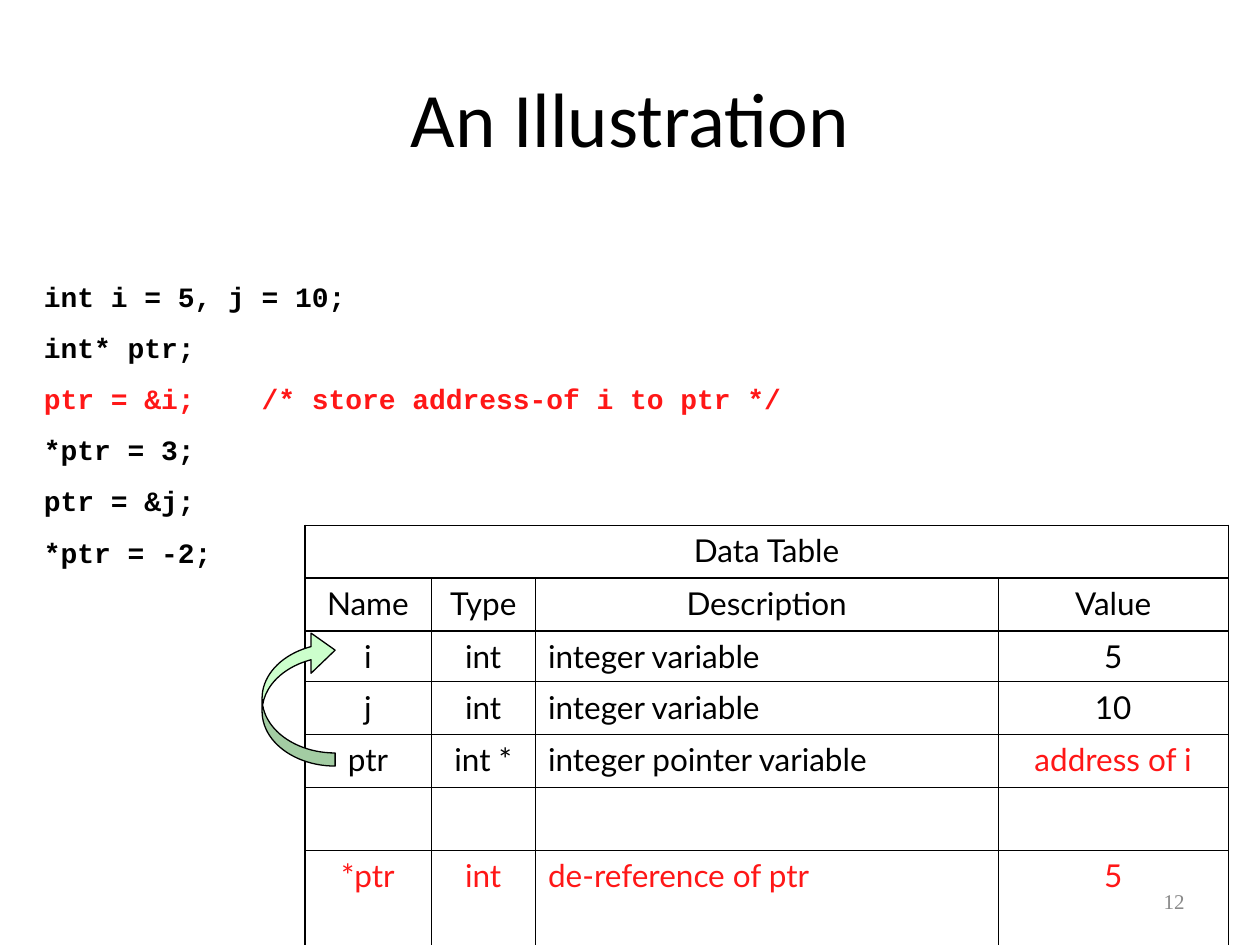
import pptx
import pptx.dml.color
import pptx.enum.shapes
import pptx.enum.text
import pptx.oxml.ns
import pptx.util
from lxml import etree

Inches = pptx.util.Inches
Pt = pptx.util.Pt
ALIGN = pptx.enum.text.PP_ALIGN
ANCHOR = pptx.enum.text.MSO_ANCHOR

BLACK, RED, GRAY, GREEN = "000000", "FF1717", "898989", "CCFFCC"
THICK, THIN = 1.08, 0.45

CODE_LINES = [
    ("int i = 5, j = 10;", BLACK),
    ("int* ptr;", BLACK),
    ("ptr = &i;    /* store address-of i to ptr */", RED),
    ("*ptr = 3;", BLACK),
    ("ptr = &j;", BLACK),
    ("*ptr = -2;", BLACK),
]
COLUMN_WIDTHS = [1, 0.83, 3.67, 1.83]
ROW_HEIGHTS = [0.42, 0.42, 0.4, 0.42, 0.42, 0.5, 0.76]
DESCRIPTION_COLUMN = 2
TABLE_ROWS = [
    ["Data Table", "", "", ""],
    ["Name", "Type", "Description", "Value"],
    ["i", "int", "integer variable", "5"],
    ["j", "int", "integer variable", "10"],
    ["ptr", "int *", "integer pointer variable", "address of i"],
    ["", "", "", ""],
    ["*ptr", "int", "de-reference of ptr", "5"],
]
RED_CELLS = {(4, 3), (6, 0), (6, 1), (6, 2), (6, 3)}


def color(hex_value):
    return pptx.dml.color.RGBColor.from_string(hex_value)


def set_attributes(target, values):
    for name, value in values.items():
        setattr(target, name, value)


def write_paragraph(paragraph, text, font_format, hex_value, paragraph_format):
    set_attributes(paragraph, paragraph_format)
    run = paragraph.add_run()
    run.text = text
    set_attributes(run.font, font_format)
    run.font.color.rgb = color(hex_value)


def add_text(slide, box, lines, font_format, paragraph_format, anchor):
    shape = slide.shapes.add_textbox(*(Inches(value) for value in box))
    frame = shape.text_frame
    set_attributes(frame, {"word_wrap": True, "vertical_anchor": anchor})
    for index, (text, hex_value) in enumerate(lines):
        paragraph = frame.add_paragraph() if index else frame.paragraphs[0]
        write_paragraph(paragraph, text, font_format, hex_value, paragraph_format)


def set_borders(cell, widths):
    properties = cell._tc.get_or_add_tcPr()
    for side in ("L", "R", "T", "B"):
        line = etree.SubElement(properties, pptx.oxml.ns.qn(f"a:ln{side}"),
                                w=str(int(Pt(widths[side]))))
        fill = etree.SubElement(line, pptx.oxml.ns.qn("a:solidFill"))
        etree.SubElement(fill, pptx.oxml.ns.qn("a:srgbClr"), val=BLACK)


def add_data_table(slide):
    row_count, column_count = len(ROW_HEIGHTS), len(COLUMN_WIDTHS)
    table = slide.shapes.add_table(
        row_count, column_count, Inches(2.42), Inches(4.17),
        Inches(sum(COLUMN_WIDTHS)), Inches(sum(ROW_HEIGHTS))).table
    set_attributes(table, {"first_row": False, "horz_banding": False})
    for column, width in zip(table.columns, COLUMN_WIDTHS):
        column.width = Inches(width)
    for row, height in zip(table.rows, ROW_HEIGHTS):
        row.height = Inches(height)
    table.cell(0, 0).merge(table.cell(0, column_count - 1))

    # The frame and the lines around the header rows are thick
    row_lines = [THICK if edge in (0, 1, 2, row_count) else THIN
                 for edge in range(row_count + 1)]
    column_lines = [THICK if edge in (0, column_count) else THIN
                    for edge in range(column_count + 1)]

    for row, texts in enumerate(TABLE_ROWS):
        for column, text in enumerate(texts):
            cell = table.cell(row, column)
            set_borders(cell, {"L": column_lines[column], "R": column_lines[column + 1],
                               "T": row_lines[row], "B": row_lines[row + 1]})
            cell.fill.background()
            if not text:
                continue
            is_description = column == DESCRIPTION_COLUMN and row > 1
            write_paragraph(
                cell.text_frame.paragraphs[0], text,
                {"size": Pt(18), "name": "Lato"},
                RED if (row, column) in RED_CELLS else BLACK,
                {"alignment": ALIGN.LEFT if is_description else ALIGN.CENTER,
                 "space_before": Pt(4.5)})


def add_pointer_arrow(slide):
    arrow = slide.shapes.add_shape(
        pptx.enum.shapes.MSO_SHAPE.CURVED_LEFT_ARROW,
        Inches(2.08), Inches(5), Inches(0.58), Inches(1.08))
    arrow.rotation = 180
    for index, value in enumerate((0.18, 0.55, 0.33)):
        arrow.adjustments[index] = value
    arrow.shadow.inherit = False
    arrow.fill.solid()
    arrow.fill.fore_color.rgb = color(GREEN)
    arrow.line.color.rgb = color(BLACK)
    arrow.line.width = Pt(0.75)


def main():
    presentation = pptx.Presentation()
    set_attributes(presentation, {"slide_width": Inches(10), "slide_height": Inches(7.5)})
    slide = presentation.slides.add_slide(presentation.slide_layouts[6])

    # Title and page number
    add_text(slide, (0.5, 0.3, 9, 1.25), [("An Illustration", BLACK)],
             {"size": Pt(44), "name": "Calibri"},
             {"alignment": ALIGN.CENTER}, ANCHOR.MIDDLE)
    add_text(slide, (7.17, 6.95, 2.33, 0.4), [("12", GRAY)],
             {"size": Pt(12), "name": "Times New Roman"},
             {"alignment": ALIGN.RIGHT}, ANCHOR.MIDDLE)

    # Code listing
    add_text(slide, (0.25, 2.17, 9.33, 2.4), CODE_LINES,
             {"size": Pt(16), "name": "Courier New", "bold": True},
             {"alignment": ALIGN.LEFT, "space_before": Pt(10)}, ANCHOR.TOP)

    # Variables, with an arrow from ptr to i
    add_data_table(slide)
    add_pointer_arrow(slide)

    presentation.save("out.pptx")


if __name__ == "__main__":
    main()
